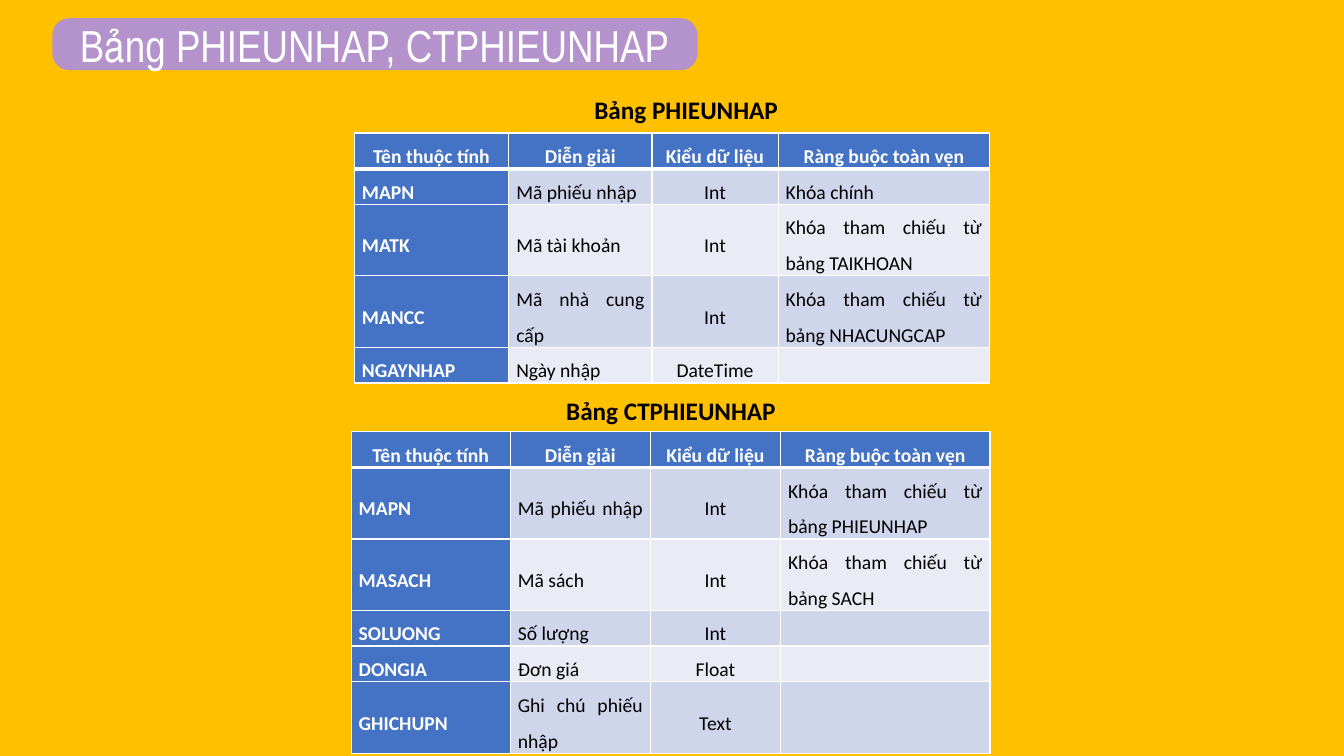
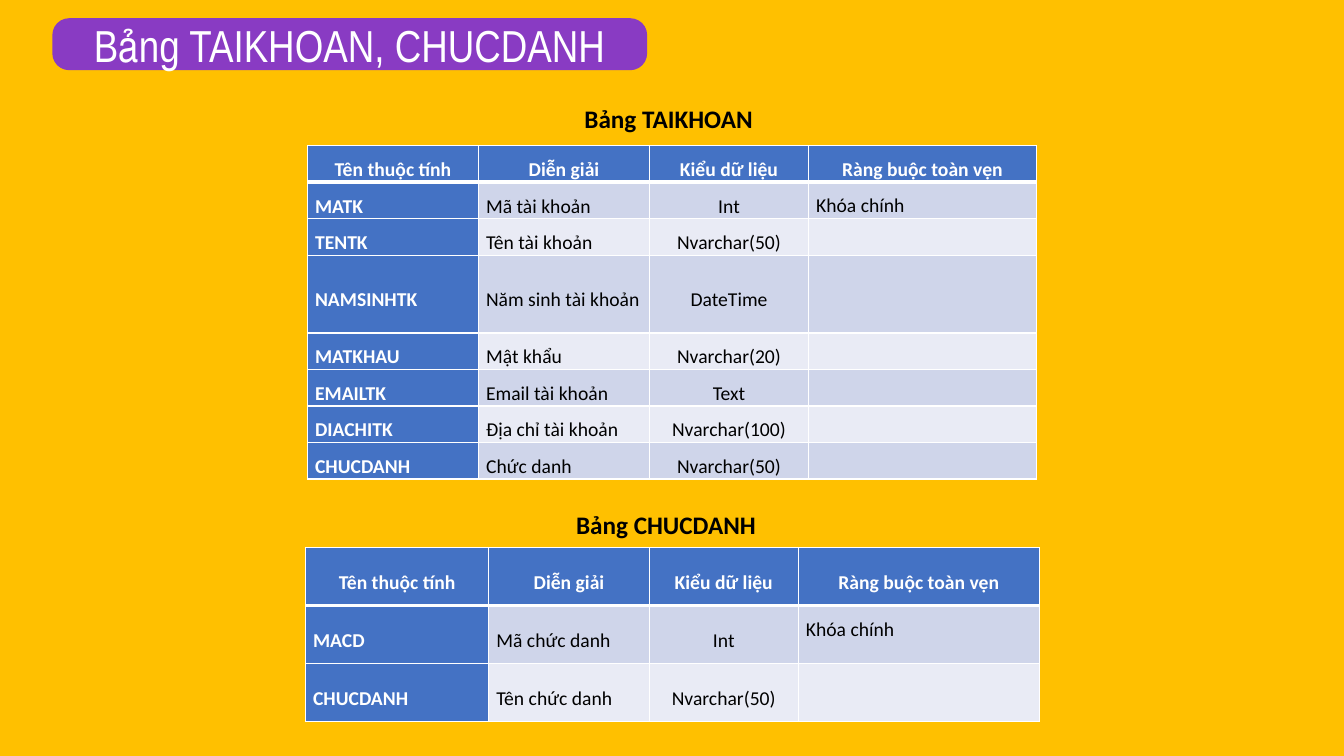
"""Build two slides that describe database tables."""
from lxml.etree import SubElement
from pptx import Presentation
from pptx.dml.color import RGBColor
from pptx.enum.shapes import MSO_SHAPE
from pptx.enum.text import MSO_ANCHOR, MSO_AUTO_SIZE, PP_ALIGN
from pptx.oxml.ns import qn
from pptx.util import Cm, Pt

AMBER = RGBColor(0xFF, 0xC0, 0x00)
LILAC = RGBColor(0xB4, 0x93, 0xCD)
PURPLE = RGBColor(0x89, 0x3B, 0xC3)
BLUE = RGBColor(0x44, 0x72, 0xC4)
BAND_DARK = RGBColor(0xCF, 0xD5, 0xEA)
BAND_LIGHT = RGBColor(0xE9, 0xEB, 0xF5)
WHITE = RGBColor(0xFF, 0xFF, 0xFF)
BLACK = RGBColor(0x00, 0x00, 0x00)

HEADER = ("Tên thuộc tính", "Diễn giải", "Kiểu dữ liệu", "Ràng buộc toàn vẹn")

SLIDES = [
    {
        "title": "Bảng PHIEUNHAP, CTPHIEUNHAP", "fill": LILAC, "width": 16.26,
        "tables": [
            {
                "caption": "Bảng PHIEUNHAP", "caption_at": (14.73, 2.24),
                "at": (8.93, 3.35),
                "cols": (3.89, 3.61, 3.18, 5.33),
                "heights": (0.9, 0.9, 1.8, 1.8, 0.9),
                "rows": [
                    ("MAPN", "Mã phiếu nhập", "Int", "Khóa chính"),
                    ("MATK", "Mã tài khoản", "Int", "Khóa tham chiếu từ bảng TAIKHOAN"),
                    ("MANCC", "Mã nhà cung cấp", "Int", "Khóa tham chiếu từ bảng NHACUNGCAP"),
                    ("NGAYNHAP", "Ngày nhập", "DateTime", ""),
                ],
            },
            {
                "caption": "Bảng CTPHIEUNHAP", "caption_at": (14.02, 9.83),
                "at": (8.85, 10.88),
                "cols": (4.01, 3.53, 3.28, 5.28),
                "heights": (0.9, 1.8, 1.8, 0.9, 0.9, 1.8),
                "rows": [
                    ("MAPN", "Mã phiếu nhập ", "Int", "Khóa tham chiếu từ bảng PHIEUNHAP"),
                    ("MASACH", "Mã sách", "Int", "Khóa tham chiếu từ bảng SACH"),
                    ("SOLUONG", "Số lượng", "Int", ""),
                    ("DONGIA", "Đơn giá", "Float", ""),
                    ("GHICHUPN", "Ghi chú phiếu nhập", "Text", ""),
                ],
            },
        ],
    },
    {
        "title": "Bảng TAIKHOAN, CHUCDANH", "fill": PURPLE, "width": 14.99,
        "tables": [
            {
                "caption": "Bảng TAIKHOAN", "caption_at": (14.48, 2.49),
                "at": (7.75, 3.67),
                "cols": (4.31, 4.31, 4.01, 5.74),
                "heights": (0.92, 0.92, 0.92, 1.96, 0.92, 0.92, 0.92, 0.92),
                "rows": [
                    ("MATK", "Mã tài khoản", "Int", "Khóa chính"),
                    ("TENTK", "Tên tài khoản", "Nvarchar(50)", ""),
                    ("NAMSINHTK", "Năm sinh tài khoản", "DateTime", ""),
                    ("MATKHAU", "Mật khẩu", "Nvarchar(20)", ""),
                    ("EMAILTK", "Email tài khoản", "Text", ""),
                    ("DIACHITK", "Địa chỉ tài khoản", "Nvarchar(100)", ""),
                    ("CHUCDANH", "Chức danh", "Nvarchar(50)", ""),
                ],
            },
            {
                "caption": "Bảng CHUCDANH", "caption_at": (14.27, 12.7),
                "at": (7.7, 13.8),
                "cols": (4.62, 4.04, 3.76, 6.07),
                "heights": (1.46, 1.46, 1.46),
                "rows": [
                    ("MACD", "Mã chức danh", "Int", "Khóa chính"),
                    ("CHUCDANH", "Tên chức danh", "Nvarchar(50)", ""),
                ],
            },
        ],
    },
]


def set_font(p, name, size, color, bold=False):
    p.font.name = name
    p.font.size = Pt(size)
    p.font.color.rgb = color
    p.font.bold = bold


def set_borders(cell, top, bottom):
    tcPr = cell._tc.get_or_add_tcPr()
    for tag, width in (("a:lnL", 1), ("a:lnR", 1), ("a:lnT", top), ("a:lnB", bottom)):
        ln = SubElement(tcPr, qn(tag), w=str(Pt(width)))
        fill = SubElement(ln, qn("a:solidFill"))
        SubElement(fill, qn("a:srgbClr"), val=str(WHITE))


prs = Presentation()
prs.slide_width = Cm(33.87)
prs.slide_height = Cm(19.05)
background = prs.slide_master.background.fill
background.solid()
background.fore_color.rgb = AMBER

for content in SLIDES:
    s = prs.slides.add_slide(prs.slide_layouts[6])

    sp = s.shapes.add_shape(MSO_SHAPE.ROUNDED_RECTANGLE, Cm(1.32), Cm(0.46), Cm(content["width"]), Cm(1.31))
    sp.adjustments[0] = 0.325
    sp.shadow.inherit = False
    sp.fill.solid()
    sp.fill.fore_color.rgb = content["fill"]
    sp.line.fill.background()
    tf = sp.text_frame
    tf.word_wrap = True
    tf.vertical_anchor = MSO_ANCHOR.MIDDLE
    p = tf.paragraphs[0]
    p.text = content["title"]
    p.alignment = PP_ALIGN.CENTER
    set_font(p, "Arial Narrow", 32, WHITE)

    for data in content["tables"]:
        left, top = data["caption_at"]
        tf = s.shapes.add_textbox(Cm(left), Cm(top), Cm(6.2), Cm(1.03)).text_frame
        tf.word_wrap = True
        tf.auto_size = MSO_AUTO_SIZE.SHAPE_TO_FIT_TEXT
        p = tf.paragraphs[0]
        p.text = data["caption"]
        set_font(p, "Calibri", 18, BLACK, True)

        rows = [HEADER] + data["rows"]
        left, top = data["at"]
        table = s.shapes.add_table(
            len(rows), len(HEADER), Cm(left), Cm(top),
            Cm(sum(data["cols"])), Cm(sum(data["heights"]))).table
        for column, width in zip(table.columns, data["cols"]):
            column.width = Cm(width)
        for i, (row, height) in enumerate(zip(rows, data["heights"])):
            table.rows[i].height = Cm(height)
            band = BAND_DARK if i % 2 else BAND_LIGHT
            for j, text in enumerate(row):
                is_head = i == 0 or j == 0
                cell = table.cell(i, j)
                set_borders(cell, 3 if i == 1 else 1, 3 if i == 0 else 1)
                cell.fill.solid()
                cell.fill.fore_color.rgb = BLUE if is_head else band
                cell.margin_left = cell.margin_right = Cm(0.19)
                cell.margin_top = cell.margin_bottom = 0
                cell.vertical_anchor = MSO_ANCHOR.TOP if i and j == 3 else MSO_ANCHOR.MIDDLE
                p = cell.text_frame.paragraphs[0]
                p.text = text
                p.alignment = PP_ALIGN.CENTER if i == 0 or j == 2 else PP_ALIGN.JUSTIFY
                p.line_spacing = 1.5
                set_font(p, "Calibri", 14, WHITE if is_head else BLACK, is_head)

prs.save("out.pptx")
